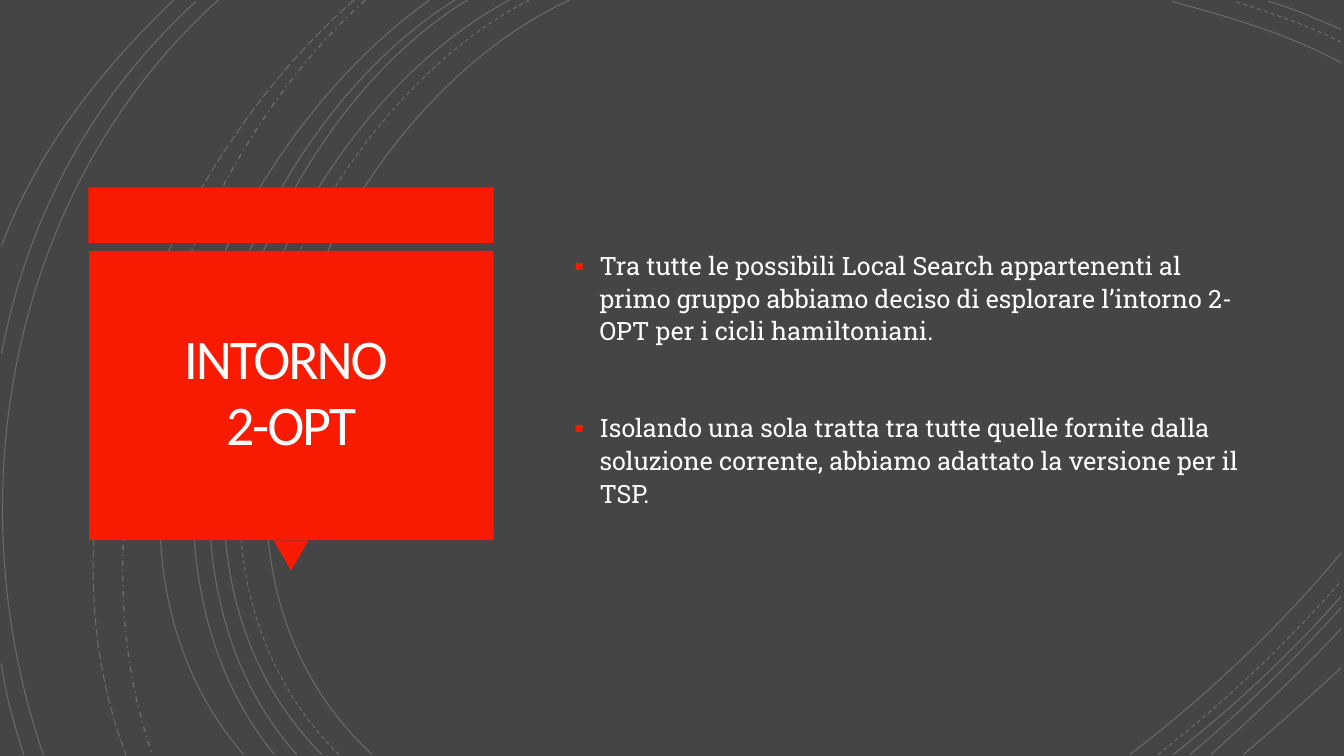
import pptx
import pptx.dml.color
import pptx.enum.dml
import pptx.enum.shapes
import pptx.enum.text
import pptx.oxml
import pptx.oxml.ns
import pptx.util
import lxml.etree

Pt = pptx.util.Pt
SHAPE = pptx.enum.shapes.MSO_SHAPE
ALIGN = pptx.enum.text.PP_ALIGN
DASH = pptx.enum.dml.MSO_LINE

DARK, RED, WHITE, TITLE_WHITE = "454545", "F81B02", "FFFFFF", "FFFEFF"
TITLE_FONT, BODY_FONT = "Calibri", "Roboto Slab"

SOLID_ARCS = [
    [(407, 0), (227, 83), (103, 389), (266, 539)],
    [(958, 45), (920, 24), (877, 12), (837, 1)],
    [(807, 539), (862, 497), (914, 448), (958, 395)],
    [(364, 0), (194, 91), (79, 387), (230, 539)],
    [(958, 21), (941, 14), (924, 6), (906, 1)],
    [(838, 539), (881, 505), (922, 467), (958, 426)],
    [(334, 0), (176, 96), (79, 390), (212, 539)],
    [(850, 539), (888, 507), (924, 472), (958, 434)],
    [(325, 0), (166, 99), (70, 384), (196, 539)],
    [(865, 539), (897, 510), (929, 480), (958, 449)],
    [(307, 0), (156, 106), (38, 381), (174, 539)],
    [(888, 539), (912, 519), (935, 498), (958, 477)],
    [(156, 0), (8, 133), (-33, 353), (31, 539)],
    [(140, 1), (66, 69), (20, 154), (1, 253)],
    [(1, 474), (4, 496), (10, 517), (17, 539)],
    [(124, 0), (72, 50), (26, 108), (1, 176)],
]
DASHED_ARCS = [
    [(378, 0), (205, 90), (89, 387), (242, 539)],
    [(958, 30), (934, 18), (907, 9), (882, 1)],
    [(827, 539), (873, 503), (918, 461), (958, 415)],
]
DASH_DOT_ARCS = [[(261, 0), (127, 120), (47, 366), (109, 539)]]
LONG_DASH_ARCS = [[(253, 0), (113, 122), (21, 359), (90, 539)]]

BULLETS = [
    "Tra tutte le possibili Local Search appartenenti al primo gruppo abbiamo "
    "deciso di esplorare l’intorno 2-OPT per i cicli hamiltoniani.",
    "Isolando una sola tratta tra tutte quelle fornite dalla soluzione corrente, "
    "abbiamo adattato la versione per il TSP.",
]


def paint(color_format, color):
    """Set a colour format to a hex colour."""
    color_format.rgb = pptx.dml.color.RGBColor.from_string(color)


def add_block(page, kind, left, top, width, height, color):
    """Add a filled preset shape without outline."""
    block = page.shapes.add_shape(kind, Pt(left), Pt(top), Pt(width), Pt(height))
    block.shadow.inherit = False
    block.fill.solid()
    paint(block.fill.fore_color, color)
    block.line.fill.background()
    return block


def add_arc(page, points, dash=DASH.SOLID, weight=0.75):
    """Add one faint Bézier arc through its start, two handles and end."""
    builder = page.shapes.build_freeform(*points[0], scale=float(Pt(1)))
    builder.add_line_segments(points[1:], close=False)
    arc = builder.convert_to_shape()
    arc.shadow.inherit = False
    arc.fill.background()
    arc.line.width = Pt(weight)
    arc.line.fill.solid()
    paint(arc.line.fill.fore_color, WHITE)
    arc.line.dash_style = dash

    qn = pptx.oxml.ns.qn
    tint = arc.line.fill.fore_color
    tint_element = next(arc.element.spPr.iter(qn("a:ln"))).find(".//" + qn("a:srgbClr"))
    lxml.etree.SubElement(tint_element, qn("a:alpha"), val="20000")

    outline = next(arc.element.iter(qn("a:path")))
    curve = lxml.etree.SubElement(outline, qn("a:cubicBezTo"))
    for segment in outline.findall(qn("a:lnTo")):
        curve.append(segment[0])
        outline.remove(segment)
    return tint


def add_text(page, box, paragraphs, font, size, color, align=ALIGN.LEFT, inset=(7.2, 3.6),
             line_spacing=1.0, before=0, after=0, tracking=0, bullet=None):
    """Add a vertically centred text box with uniformly formatted paragraphs."""
    frame = page.shapes.add_textbox(*(Pt(length) for length in box)).text_frame
    frame.word_wrap = True
    frame.vertical_anchor = pptx.enum.text.MSO_ANCHOR.MIDDLE
    frame.margin_left = frame.margin_right = Pt(inset[0])
    frame.margin_top = frame.margin_bottom = Pt(inset[1])
    for index, text in enumerate(paragraphs):
        para = frame.paragraphs[0] if index == 0 else frame.add_paragraph()
        para.alignment = align
        para.line_spacing = line_spacing
        para.space_before = Pt(before if index else 0)
        para.space_after = Pt(after)
        if bullet:
            add_bullet(para, bullet, RED)
        span = para.add_run()
        span.text = text
        span.font.name = font
        span.font.size = Pt(size)
        paint(span.font.color, color)
        if tracking:
            span.font._element.set("spc", str(int(tracking * 100)))


def add_bullet(para, symbol, color):
    """Give a paragraph a coloured bullet with a hanging indent."""
    properties = para._p.get_or_add_pPr()
    properties.set("marL", str(Pt(18)))
    properties.set("indent", str(-Pt(18)))
    namespace = pptx.oxml.ns.nsdecls("a")
    for markup in (
        f'<a:buClr {namespace}><a:srgbClr val="{color}"/></a:buClr>',
        f'<a:buSzPct {namespace} val="110000"/>',
        f'<a:buFont {namespace} typeface="Arial"/>',
        f'<a:buChar {namespace} char="{symbol}"/>',
    ):
        properties.append(pptx.oxml.parse_xml(markup))


def draw_backdrop(page):
    """Fill the page dark and sweep the faint arcs across it."""
    page.background.fill.solid()
    paint(page.background.fill.fore_color, DARK)
    for arcs, dash, weight in (
        (SOLID_ARCS, DASH.SOLID, 0.75),
        (DASHED_ARCS, DASH.DASH, 0.75),
        (DASH_DOT_ARCS, DASH.DASH_DOT, 1),
        (LONG_DASH_ARCS, DASH.LONG_DASH, 0.75),
    ):
        for points in arcs:
            add_arc(page, points, dash, weight)


def draw_title_card(page, left, top, width, height):
    """Draw the red card with its top band, pointer and title."""
    band, gap, pointer_width, pointer_height = 39.6, 5.76, 25.2, 21.6
    panel_top = top + band + gap
    panel_height = height - band - gap - pointer_height
    add_block(page, SHAPE.RECTANGLE, left, top, width, band, RED)
    pointer = add_block(page, SHAPE.ISOSCELES_TRIANGLE, left + (width - pointer_width) / 2,
                        panel_top + panel_height, pointer_width, pointer_height, RED)
    pointer.rotation = 180
    add_block(page, SHAPE.RECTANGLE, left + 0.4, panel_top, width - 0.4, panel_height, RED)
    margin = 6.4
    title_box = (left + margin, panel_top + margin, width - 2 * margin, panel_height - 2 * margin)
    add_text(page, title_box, ["INTORNO ", "2-OPT"], TITLE_FONT, 40, TITLE_WHITE,
             align=ALIGN.CENTER, inset=(18, 18), line_spacing=0.85, after=6, tracking=-1.5)


def draw_body(page, left, top, width, height):
    """Write the bulleted explanation in its box."""
    add_text(page, (left, top, width, height), BULLETS, BODY_FONT, 18, WHITE,
             line_spacing=1.08, before=46, bullet="▪")


def main():
    """Build the slide and save the deck."""
    deck = pptx.Presentation()
    deck.slide_width, deck.slide_height = Pt(960), Pt(540)
    page = deck.slides.add_slide(deck.slide_layouts[6])
    draw_backdrop(page)
    draw_title_card(page, 63.2, 133.9, 289.4, 273.6)
    draw_body(page, 403.2, 63.4, 494.6, 413.3)
    deck.save("out.pptx")


if __name__ == "__main__":
    main()
